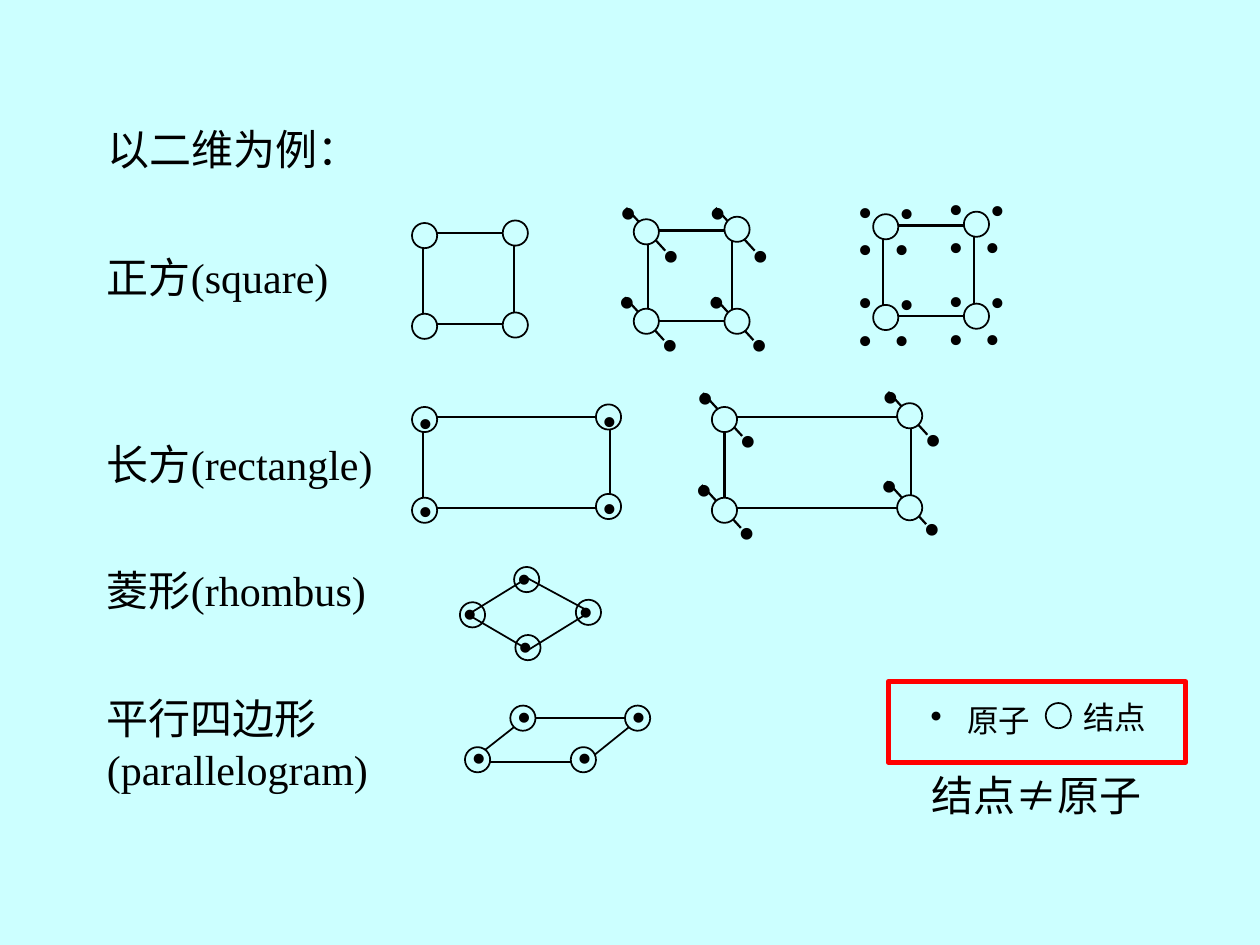
from dataclasses import dataclass
from itertools import product

from lxml.etree import SubElement
from pptx import Presentation
from pptx.dml.color import RGBColor
from pptx.enum.shapes import MSO_CONNECTOR, MSO_SHAPE
from pptx.enum.text import MSO_ANCHOR, MSO_AUTO_SIZE, PP_ALIGN
from pptx.oxml.ns import qn
from pptx.util import Inches, Pt


@dataclass(frozen=True)
class Theme:
    background: RGBColor = RGBColor(0xCC, 0xFF, 0xFF)
    ink: RGBColor = RGBColor(0, 0, 0)
    accent: RGBColor = RGBColor(0xFF, 0, 0)
    font: str = "Times New Roman"
    body: int = 24
    large_dot: int = 28
    legend: int = 18
    thin: float = 1
    medium: float = 1.25
    thick: float = 3


def write(paragraph, text, theme, size=None, align=PP_ALIGN.LEFT):
    paragraph.alignment = align
    run = paragraph.add_run()
    run.text = text
    run.font.size = Pt(size or theme.body)
    run.font.name = theme.font
    run.font.color.rgb = theme.ink


class LatticeSlide:
    def __init__(self, slide, theme):
        self.slide = slide
        self.theme = theme
        slide.background.fill.solid()
        slide.background.fill.fore_color.rgb = theme.background

    def title(self, text, left, top, width, height):
        heading = self.slide.shapes.title
        heading.left, heading.top = Inches(left), Inches(top)
        heading.width, heading.height = Inches(width), Inches(height)
        frame = heading.text_frame
        frame.vertical_anchor = MSO_ANCHOR.TOP
        frame.auto_size = MSO_AUTO_SIZE.SHAPE_TO_FIT_TEXT
        write(frame.paragraphs[0], text, self.theme)

    def label(self, text, left, top, width, height=0.5, rotation=0, **style):
        box = self.slide.shapes.add_textbox(
            Inches(left), Inches(top), Inches(width), Inches(height))
        box.rotation = rotation
        frame = box.text_frame
        frame.word_wrap = True
        frame.auto_size = MSO_AUTO_SIZE.SHAPE_TO_FIT_TEXT
        write(frame.paragraphs[0], text, self.theme, **style)
        return frame.paragraphs[0]

    def outline(self, kind, left, top, width, height, color, weight):
        shape = self.slide.shapes.add_shape(
            kind, Inches(left), Inches(top), Inches(width), Inches(height))
        shape.shadow.inherit = False
        shape.fill.background()
        shape.line.color.rgb = color
        shape.line.width = Pt(weight)
        return shape

    def cell(self, left, top, width, height):
        self.outline(MSO_SHAPE.RECTANGLE, left, top, width, height,
                     self.theme.ink, self.theme.medium)

    def node(self, left, top, rotation=0):
        circle = self.outline(MSO_SHAPE.OVAL, left, top, 0.2, 0.2,
                              self.theme.ink, self.theme.thin)
        circle.fill.solid()
        circle.fill.fore_color.rgb = self.theme.background
        circle.rotation = rotation

    def atom(self, left, top, rotation=0):
        self.label("•", left, top, 0.42, rotation=rotation)

    def filled_node(self, left, top, shift, rotation=0):
        self.node(left, top, rotation)
        self.atom(left + shift[0], top + shift[1], rotation)

    def edge(self, start, end, weight):
        line = self.slide.shapes.add_connector(
            MSO_CONNECTOR.STRAIGHT, *map(Inches, start + end))
        line.line.color.rgb = self.theme.ink
        line.line.width = Pt(weight)
        SubElement(line._element.spPr, qn("a:effectLst"))

    def atom_pair(self, left, top):
        for step in (0, 0.34):
            self.label("•", left + step, top + step, 0.4, 0.57,
                       size=self.theme.large_dot)
        self.edge((left + 0.15, top + 0.26), (left + 0.46, top + 0.6),
                  self.theme.medium)


def draw_squares(page):
    page.cell(3.36, 1.85, 0.72, 0.72)
    for left, top in ((3.27, 1.77), (3.99, 1.75), (3.27, 2.49), (3.99, 2.48)):
        page.node(left, top)

    for left, top in ((4.81, 2.1), (5.52, 2.1), (5.53, 1.39), (4.82, 1.39)):
        page.atom_pair(left, top)
    page.cell(5.14, 1.83, 0.67, 0.72)
    for left, top in ((5.03, 1.74), (5.75, 1.72), (5.03, 2.45), (5.75, 2.45)):
        page.node(left, top)

    cluster = ((0.11, -0.27), (0.07, 0.02), (-0.22, -0.28), (-0.22, 0.02))
    corners = ((6.93, 1.7), (7.65, 1.68), (6.93, 2.42), (7.65, 2.41))
    page.cell(7.01, 1.79, 0.72, 0.72)
    for (left, top), (dx, dy) in product(corners, cluster):
        page.atom(left + dx, top + dy)
    for left, top in corners:
        page.node(left, top)


def draw_rectangles(page):
    page.cell(3.36, 3.31, 1.48, 0.72)
    for left, top in ((4.73, 3.21), (3.27, 3.23)):
        page.filled_node(left, top, (-0.05, -0.13))
    for left, top in ((3.27, 3.95), (4.73, 3.92)):
        page.filled_node(left, top, (-0.05, -0.15))

    for left, top in ((5.42, 3.59), (5.43, 2.86), (6.89, 3.56), (6.9, 2.85)):
        page.atom_pair(left, top)
    page.cell(5.75, 3.31, 1.48, 0.72)
    for left, top in ((5.65, 3.23), (5.65, 3.95), (7.12, 3.2), (7.12, 3.93)):
        page.node(left, top)


def draw_slanted(page):
    tilt = 91.4
    thin = page.theme.thin
    for left, top in ((3.65, 4.78), (4.09, 5.04), (4.57, 4.76), (4.08, 4.5)):
        page.filled_node(left, top, (-0.11, -0.09), tilt)
    for start, end in (((4.67, 4.85), (4.17, 4.58)), ((4.18, 5.15), (3.7, 4.87)),
                       ((4.19, 5.16), (4.66, 4.87)), ((3.71, 4.88), (4.18, 4.59))):
        page.edge(start, end, thin)

    for start, end in (((4.17, 5.7), (5.08, 5.7)), ((3.74, 6.05), (4.65, 6.05)),
                       ((4.17, 5.7), (3.75, 6.03)), ((5.08, 5.7), (4.67, 6.03))):
        page.edge(start, end, thin)
    for left, top in ((4.05, 5.6), (4.96, 5.6), (3.69, 5.93), (4.53, 5.93)):
        page.filled_node(left, top, (-0.08, -0.1), tilt)


def draw_legend(page):
    theme = page.theme
    page.node(8.3, 5.58)
    atom_entry = page.label("• ", 7.17, 5.43, 1.17)
    write(atom_entry, "原子", theme, size=theme.legend)
    page.label("结点", 8.5, 5.49, 1.17, 0.4, size=theme.legend)
    page.outline(MSO_SHAPE.RECTANGLE, 7.05, 5.41, 2.36, 0.64,
                 theme.accent, theme.thick)
    page.label("结点≠原子", 6.98, 6.06, 2.5, align=PP_ALIGN.CENTER)


def main():
    deck = Presentation()
    deck.slide_width, deck.slide_height = Inches(10), Inches(7.5)
    page = LatticeSlide(deck.slides.add_slide(deck.slide_layouts[5]), Theme())
    page.title("以二维为例：", 0.75, 0.93, 3, 0.5)
    for text, top, width, height in (("正方(square)", 1.95, 2.08, 0.5),
                                     ("长方(rectangle)", 3.43, 2.33, 0.5),
                                     ("菱形(rhombus)", 4.43, 2.42, 0.5),
                                     ("平行四边形(parallelogram)", 5.45, 2.42, 0.9)):
        page.label(text, 0.75, top, width, height)
    draw_squares(page)
    draw_rectangles(page)
    draw_slanted(page)
    draw_legend(page)
    deck.save("out.pptx")


if __name__ == "__main__":
    main()
